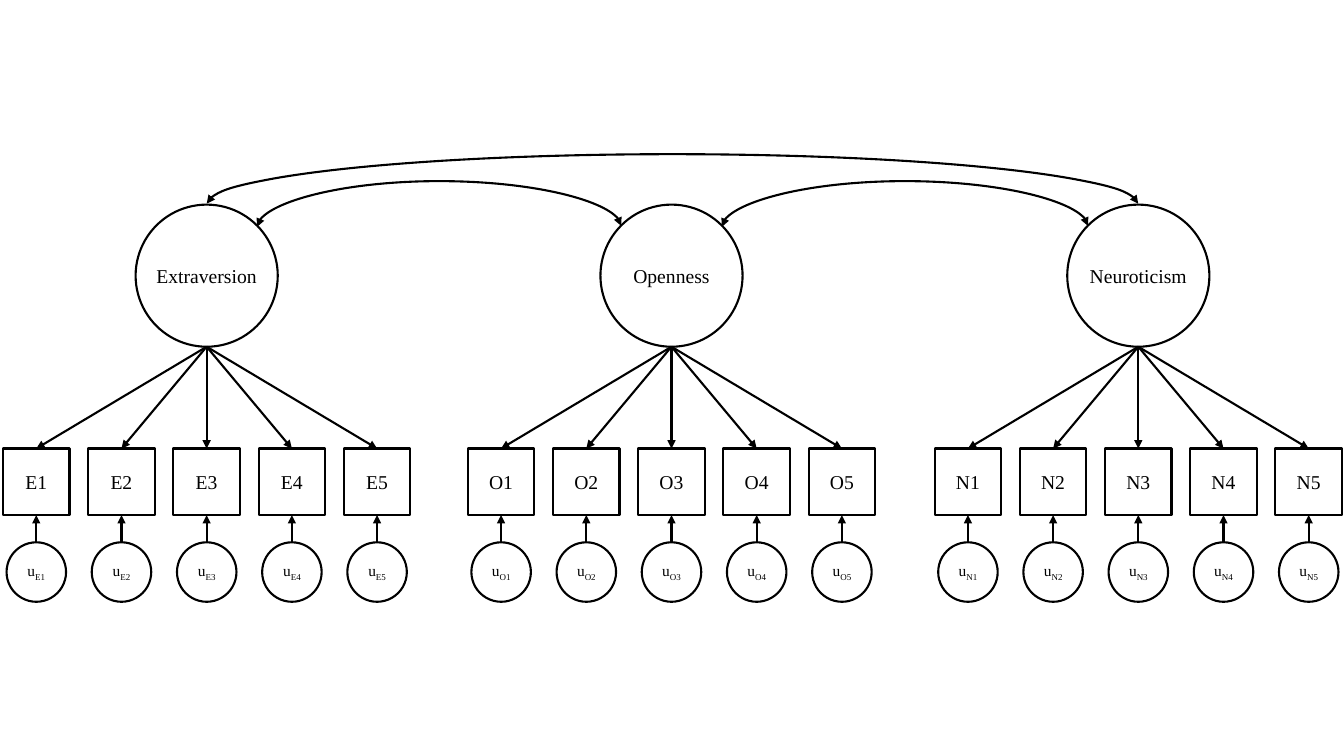
from dataclasses import dataclass
from pptx import Presentation
from pptx.dml.color import RGBColor
from pptx.enum.shapes import MSO_CONNECTOR as Connector, MSO_SHAPE as Shape
from pptx.enum.text import MSO_ANCHOR as Anchor, PP_ALIGN as Align
from pptx.oxml.ns import qn
from pptx.util import Inches, Pt
from lxml.etree import SubElement

FACTORS = [("Extraversion", "E", 2.05), ("Openness", "O", 6.66), ("Neuroticism", "N", 11.29)]
ITEM_COUNT = 5


@dataclass(frozen=True)
class Theme:
    ink: RGBColor = RGBColor(0, 0, 0)
    paper: RGBColor = RGBColor(255, 255, 255)
    font: str = "Times New Roman"
    label_size: int = 14
    error_size: int = 11
    line_width: float = 1.5


THEME = Theme()
FACTOR_TOP, FACTOR_SIZE = 2.03, 1.41
ITEM_TOP, ITEM_SIZE, ITEM_PITCH = 4.45, 0.66, 0.845
ERROR_TOP, ERROR_SIZE = 5.38, 0.59
ARC_TOP, ARC_HEIGHT = 1.53, 1
CURVE_REACH, CURVE_BOTTOM, CURVE_APEX, CURVE_DROP = 0.5, 2.25, 1.79, 0.01


def style_line(shape, *ends):
    shape.line.color.rgb = THEME.ink
    shape.line.width = Pt(THEME.line_width)
    outline = shape.element.spPr.find(qn("a:ln"))
    for end in ends:
        SubElement(outline, qn(f"a:{end}"), type="triangle")


def add_node(slide, kind, center, top, size, label, points, subscript=""):
    shape = slide.shapes.add_shape(
        kind, Inches(center - size / 2), Inches(top), Inches(size), Inches(size))
    shape.shadow.inherit = False
    shape.fill.solid()
    shape.fill.fore_color.rgb = THEME.paper
    style_line(shape)
    frame = shape.text_frame
    frame.word_wrap = True
    frame.vertical_anchor = Anchor.MIDDLE
    frame.margin_left = frame.margin_right = 0
    paragraph = frame.paragraphs[0]
    paragraph.alignment = Align.CENTER
    paragraph.font.name = THEME.font
    paragraph.font.size = Pt(points)
    paragraph.font.color.rgb = THEME.ink
    paragraph.add_run().text = label
    if subscript:
        run = paragraph.add_run()
        run.text = subscript
        run.font._element.set("baseline", "-25000")


def add_link(slide, kind, start, end, *ends):
    link = slide.shapes.add_connector(kind, *map(Inches, (*start, *end)))
    style_line(link, *ends)
    SubElement(link.element.spPr, qn("a:effectLst"))
    return link


def add_factor(slide, name, letter, center):
    factor_bottom = FACTOR_TOP + FACTOR_SIZE
    add_node(slide, Shape.OVAL, center, FACTOR_TOP, FACTOR_SIZE, name, THEME.label_size)
    for index in range(ITEM_COUNT):
        x = center + (index - (ITEM_COUNT - 1) / 2) * ITEM_PITCH
        item = f"{letter}{index + 1}"
        add_node(slide, Shape.RECTANGLE, x, ITEM_TOP, ITEM_SIZE, item, THEME.label_size)
        add_node(slide, Shape.OVAL, x, ERROR_TOP, ERROR_SIZE, "u", THEME.error_size, item)
        add_link(slide, Connector.STRAIGHT, (center, factor_bottom), (x, ITEM_TOP), "tailEnd")
        add_link(slide, Connector.STRAIGHT, (x, ERROR_TOP), (x, ITEM_TOP + ITEM_SIZE), "tailEnd")


def add_curve(slide, left, right):
    middle = (left + right) / 2
    span = right - left
    center_y = CURVE_BOTTOM - CURVE_DROP / 2
    curve = add_link(
        slide, Connector.CURVE,
        (middle + CURVE_DROP / 2, center_y + span / 2),
        (middle - CURVE_DROP / 2, center_y - span / 2),
        "headEnd", "tailEnd")
    properties = curve.element.spPr
    properties.find(qn("a:xfrm")).set("rot", str(90 * 60000))
    bend = round((CURVE_BOTTOM - CURVE_APEX) / CURVE_DROP * 100000)
    guides = properties.find(qn("a:prstGeom")).find(qn("a:avLst"))
    SubElement(guides, qn("a:gd"), name="adj1", fmla=f"val {bend}")


def add_arc(slide, left, right):
    arc = slide.shapes.add_shape(
        Shape.ARC, Inches(left), Inches(ARC_TOP), Inches(right - left), Inches(ARC_HEIGHT))
    arc.shadow.inherit = False
    arc.fill.background()
    arc.adjustments[0] = 108.07
    arc.adjustments[1] = 215.94
    style_line(arc, "headEnd", "tailEnd")


def main():
    presentation = Presentation()
    presentation.slide_width = Inches(13.33)
    presentation.slide_height = Inches(7.5)
    slide = presentation.slides.add_slide(presentation.slide_layouts[6])
    for factor in FACTORS:
        add_factor(slide, *factor)
    centers = [center for _, _, center in FACTORS]
    for left, right in zip(centers, centers[1:]):
        add_curve(slide, left + CURVE_REACH, right - CURVE_REACH)
    add_arc(slide, centers[0], centers[-1])
    presentation.save("out.pptx")


if __name__ == "__main__":
    main()
